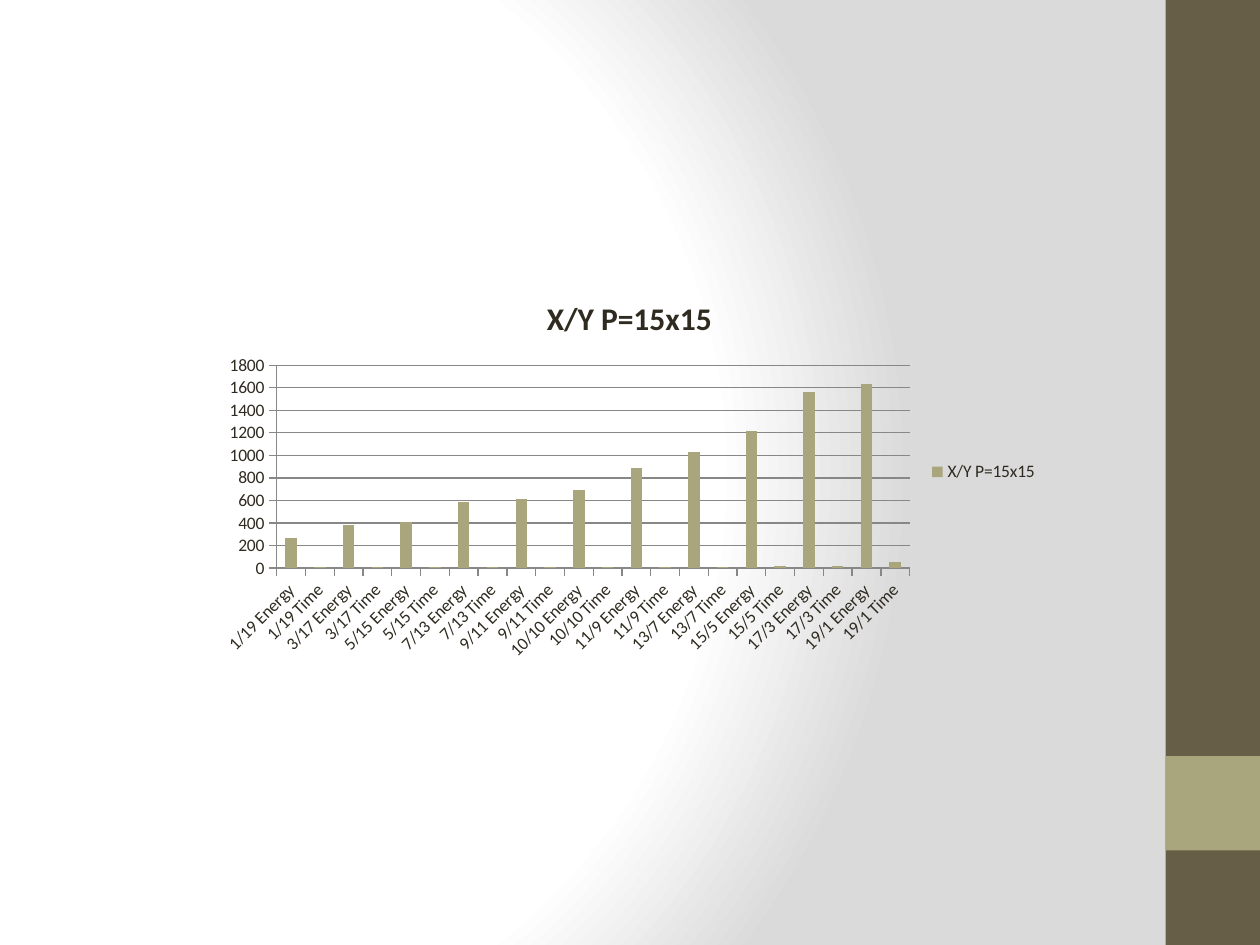
from lxml import etree
from pptx import Presentation
from pptx.chart.data import CategoryChartData
from pptx.dml.color import RGBColor
from pptx.enum.chart import XL_CHART_TYPE as ChartType
from pptx.enum.chart import XL_LEGEND_POSITION as LegendPosition
from pptx.enum.chart import XL_TICK_MARK as TickMark
from pptx.enum.shapes import MSO_SHAPE as Shape
from pptx.oxml import parse_xml
from pptx.oxml.ns import nsdecls, qn
from pptx.util import Inches, Pt

INK = RGBColor(0x2F, 0x2B, 0x20)
BROWN = RGBColor(0x67, 0x5E, 0x47)
OLIVE = RGBColor(0xA9, 0xA5, 0x7C)
AXIS_GREY = RGBColor(0x87, 0x87, 0x87)
WHITE = RGBColor(0xFF, 0xFF, 0xFF)
MIST = RGBColor(0xDA, 0xDA, 0xDA)

COLUMNS, ROWS = 40, 30
TITLE = "X/Y P=15x15"
ENERGY_AND_TIME = {
    "1/19": (270, 10), "3/17": (380, 10), "5/15": (410, 10),
    "7/13": (590, 10), "9/11": (610, 10), "10/10": (690, 10),
    "11/9": (890, 10), "13/7": (1030, 10), "15/5": (1220, 20),
    "17/3": (1560, 20), "19/1": (1630, 50),
}


def style_font(font, size=10, bold=False, color=INK, name="Calibri"):
    """Apply one type style to a font."""
    font.size, font.bold, font.name = Pt(size), bold, name
    font.color.rgb = color


def write(frame, text, **style):
    """Put text into a frame, formatted by keyword."""
    run = frame.paragraphs[0].add_run()
    run.text = text
    style_font(run.font, **style)


class SlideBuilder:
    """Holds the style and the current slide; lengths are grid cells."""

    def __init__(self, width=10, height=7.5):
        self.deck = Presentation()
        self.deck.slide_width, self.deck.slide_height = Inches(width), Inches(height)
        self.slide = self.deck.slides.add_slide(self.deck.slide_layouts[6])

    def place(self, column, row, columns, rows):
        """Turn grid cells into left, top, width and height."""
        cell_width = self.deck.slide_width / COLUMNS
        cell_height = self.deck.slide_height / ROWS
        return (round(column * cell_width), round(row * cell_height),
                round(columns * cell_width), round(rows * cell_height))

    def glow(self, stops, left, top, right, bottom):
        """Fill the background with a circular gradient."""
        fill = self.slide.background.fill
        fill.gradient()
        gradient = self.slide.background._cSld.find(".//" + qn("a:gradFill"))
        stop_xml = "".join(
            f'<a:gs pos="{share * 1000}"><a:srgbClr val="{color}"/></a:gs>'
            for share, color in stops)
        circular = parse_xml(
            f'<a:gradFill {nsdecls("a")} rotWithShape="1"><a:gsLst>{stop_xml}</a:gsLst>'
            f'<a:path path="circle"><a:fillToRect l="{left * 1000}" t="{top * 1000}" '
            f'r="{right * 1000}" b="{bottom * 1000}"/></a:path></a:gradFill>')
        gradient.getparent().replace(gradient, circular)

    def block(self, color, *cells):
        """Draw a plain rectangle."""
        band = self.slide.shapes.add_shape(Shape.RECTANGLE, *self.place(*cells))
        band.shadow.inherit = False
        band.fill.solid()
        band.fill.fore_color.rgb = color
        band.line.fill.background()

    def column_chart(self, title, groups, color, *cells):
        """Draw a column chart with an energy and a time bar per group."""
        data = CategoryChartData()
        data.categories = [f"{ratio} {measure}" for ratio in groups
                           for measure in ("Energy", "Time")]
        data.add_series(title, [value for pair in groups.values() for value in pair])
        chart = self.slide.shapes.add_chart(
            ChartType.COLUMN_CLUSTERED, *self.place(*cells), data).chart
        style_font(chart.font)
        chart.has_title = True
        write(chart.chart_title.text_frame, title, size=18, bold=True)
        chart.chart_title.include_in_layout = False
        chart.has_legend = True
        chart.legend.position = LegendPosition.RIGHT
        chart.legend.include_in_layout = False

        plot = chart.plots[0]
        plot.gap_width, plot.vary_by_categories = 150, False
        bars = plot.series[0]
        bars.invert_if_negative = False
        bars.format.fill.solid()
        bars.format.fill.fore_color.rgb = color

        values = chart.value_axis
        values.minimum_scale, values.maximum_scale, values.major_unit = 0, 1800, 200
        values.has_major_gridlines = True
        chart.category_axis.has_major_gridlines = False
        for axis in (chart.category_axis, values):
            axis.major_tick_mark = TickMark.OUTSIDE
            axis.minor_tick_mark = TickMark.NONE
        for part in (chart.category_axis, values, values.major_gridlines):
            part.format.line.color.rgb = AXIS_GREY
            part.format.line.width = Pt(0.75)


def main():
    """Build and save the slide."""
    page = SlideBuilder()
    page.glow([(0, WHITE), (75, WHITE), (100, MIST)], 20, 50, 100, 50)
    page.block(BROWN, 37, 0, 3, ROWS)
    page.block(OLIVE, 37, 24, 3, 3)
    page.column_chart(TITLE, ENERGY_AND_TIME, OLIVE, 6.6, 8.76, 26.76, 12.44)
    page.deck.save("out.pptx")


main()
